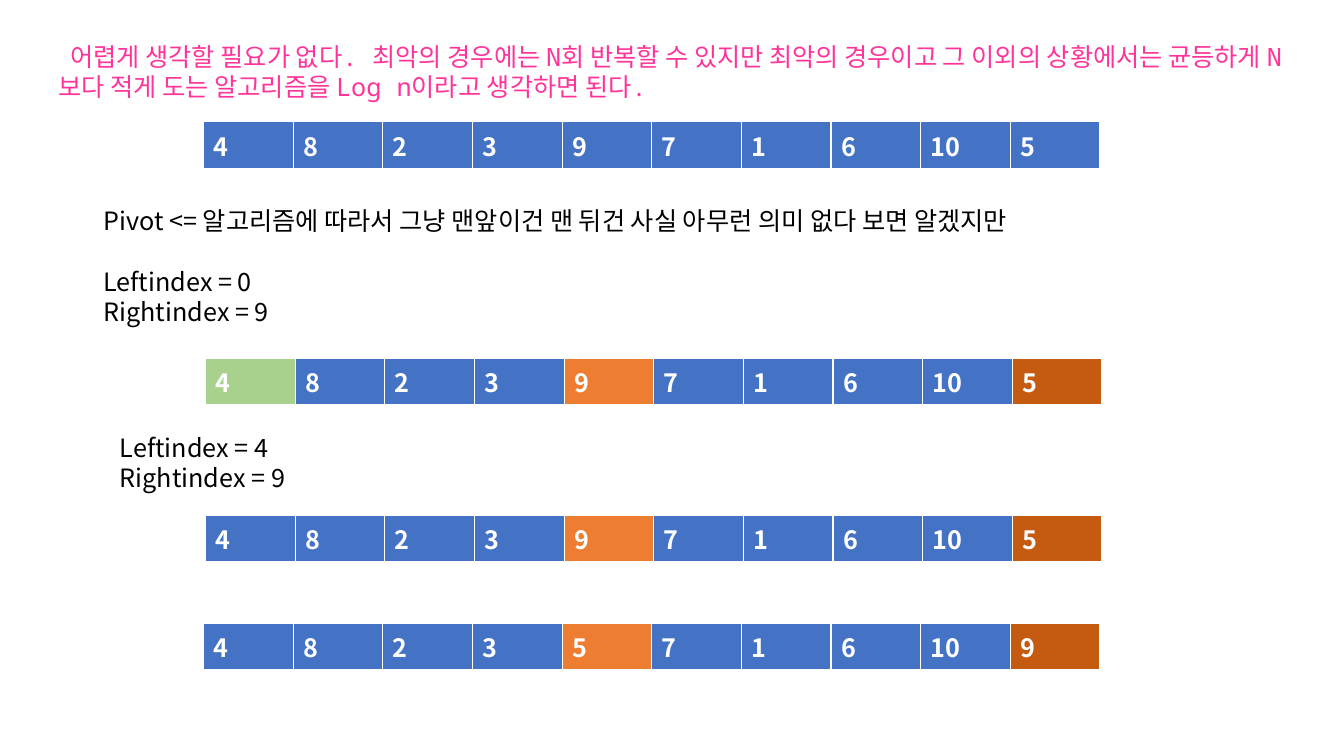
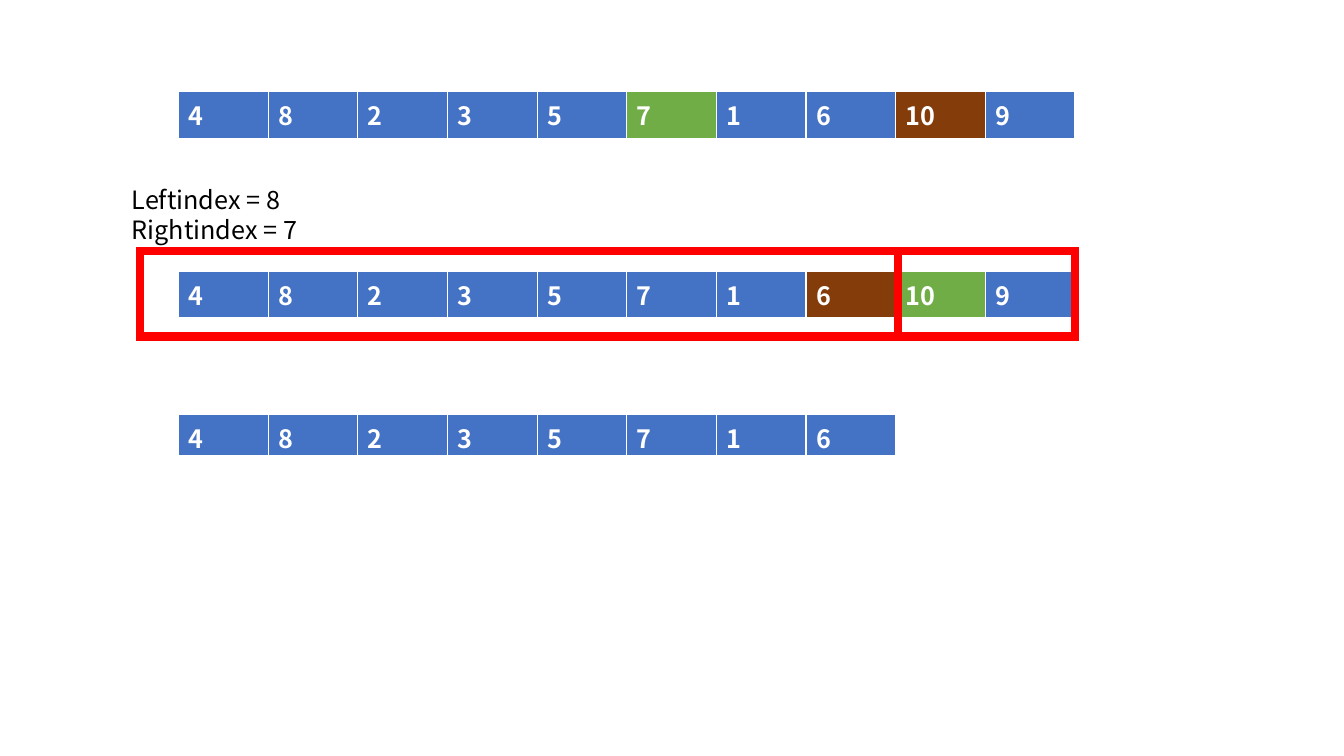
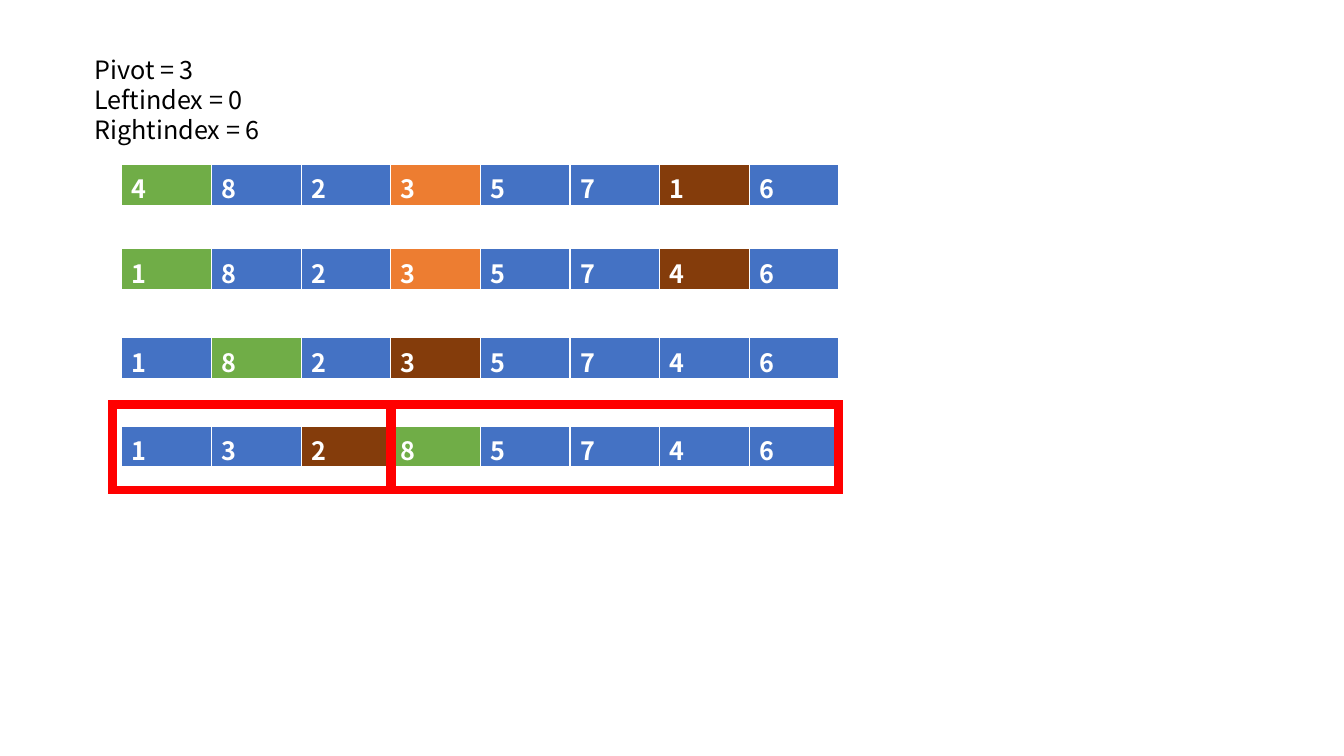
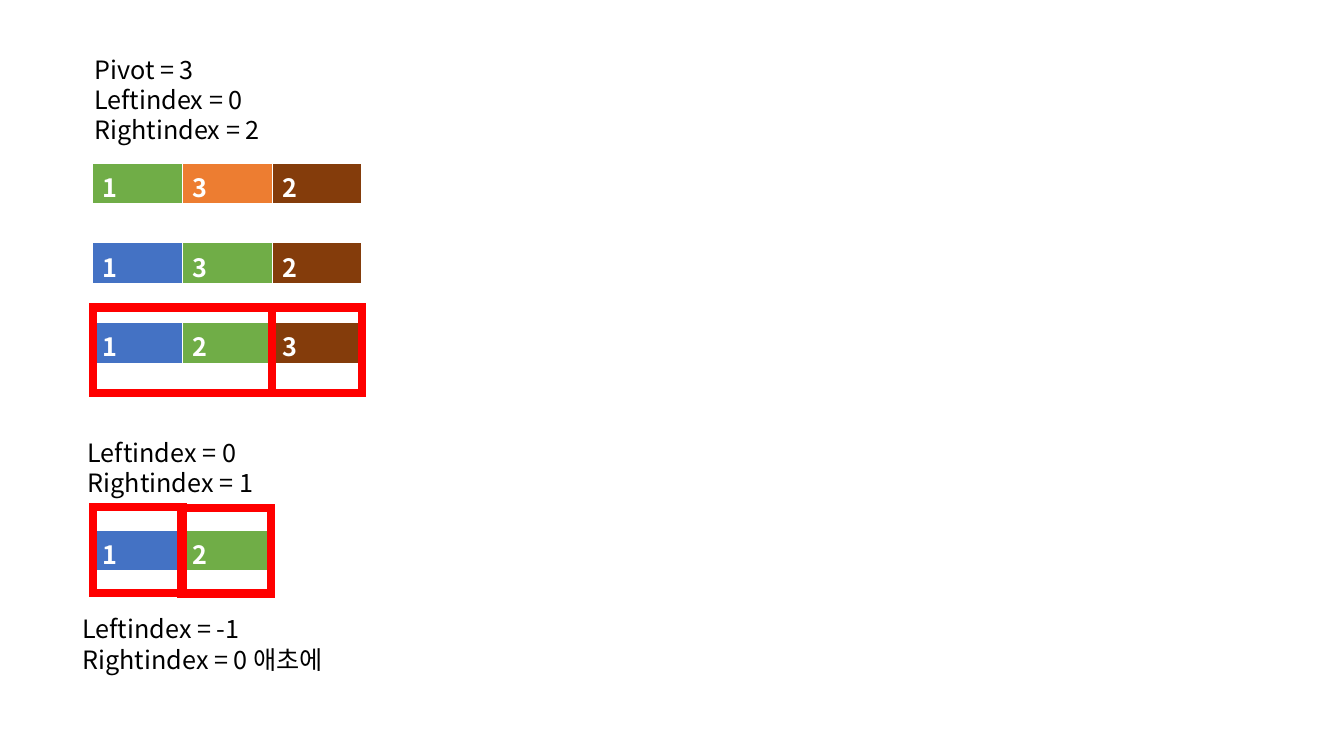
import dataclasses

import lxml.etree
import pptx
import pptx.dml.color
import pptx.enum.shapes
import pptx.enum.text
import pptx.oxml.ns
import pptx.slide
import pptx.text.text
import pptx.util

Cm = pptx.util.Cm


@dataclasses.dataclass(frozen=True)
class Theme:
    text_font: str = "Noto Sans CJK KR"
    mono_font: str = "Noto Sans Mono"
    text_size: int = 18
    line_gap: int = 22
    frame_width: int = 6
    black: str = "000000"
    white: str = "FFFFFF"
    pink: str = "FF3399"
    blue: str = "4472C4"
    orange: str = "ED7D31"
    rust: str = "C55A11"
    brown: str = "843C0B"
    green: str = "70AD47"
    pale_green: str = "A9D18E"
    red: str = "FF0000"


THEME = Theme()
CELL_WIDTH = 2.26
NOTE_WIDTH = 16.94
LINE_HEIGHT = 0.77
FRAME_HEIGHT = 2.16
ROW_HEIGHT = 1.03
TALL_ROW = 1.18


@dataclasses.dataclass(frozen=True)
class Strip:
    left: float
    top: float
    values: tuple[int, ...]
    marks: dict[int, str] = dataclasses.field(default_factory=dict)
    height: float = ROW_HEIGHT


@dataclasses.dataclass(frozen=True)
class Note:
    left: float
    top: float
    lines: tuple[str, ...]
    width: float = NOTE_WIDTH
    gap_before_line: int | None = None


@dataclasses.dataclass(frozen=True)
class Frame:
    left: float
    top: float
    width: float


@dataclasses.dataclass(frozen=True)
class Page:
    strips: tuple[Strip, ...]
    notes: tuple[Note, ...]
    frames: tuple[Frame, ...] = ()
    title: str | None = None


def rgb(value: str) -> pptx.dml.color.RGBColor:
    return pptx.dml.color.RGBColor.from_string(value)


def write_text(
    text_frame: pptx.text.text.TextFrame,
    text: str,
    *,
    color: str = THEME.black,
    font: str = THEME.text_font,
    bold: bool = False,
    indent: float = 0,
    gap_before_line: int | None = None,
) -> None:
    text_frame.word_wrap = True
    for index, line in enumerate(text.split("\n")):
        para = text_frame.paragraphs[0] if index == 0 else text_frame.add_paragraph()
        para.alignment = pptx.enum.text.PP_ALIGN.LEFT
        if indent:
            para._p.get_or_add_pPr().set("indent", str(Cm(indent)))
        if index == gap_before_line:
            para.space_before = pptx.util.Pt(THEME.line_gap)
        span = para.add_run()
        span.text = line
        span.font.name = font
        span.font.size = pptx.util.Pt(THEME.text_size)
        span.font.bold = bold
        span.font.color.rgb = rgb(color)
        east_asian = lxml.etree.SubElement(
            span._r.get_or_add_rPr(), pptx.oxml.ns.qn("a:ea")
        )
        east_asian.set("typeface", THEME.text_font)


def draw_title(page: pptx.slide.Slide, text: str) -> None:
    title = page.shapes.title
    title.left, title.top = Cm(1.22), Cm(0.91)
    title.width, title.height = Cm(31.39), Cm(1.8)
    title.text_frame.auto_size = pptx.enum.text.MSO_AUTO_SIZE.NONE
    title.text_frame.vertical_anchor = pptx.enum.text.MSO_ANCHOR.TOP
    write_text(
        title.text_frame, text, color=THEME.pink, font=THEME.mono_font, indent=0.3
    )


def draw_strip(page: pptx.slide.Slide, strip: Strip) -> None:
    count = len(strip.values)
    table = page.shapes.add_table(
        1, count, Cm(strip.left), Cm(strip.top), Cm(count * CELL_WIDTH), Cm(strip.height)
    ).table
    for index, value in enumerate(strip.values):
        table.columns[index].width = Cm(CELL_WIDTH)
        cell = table.cell(0, index)
        cell.fill.solid()
        cell.fill.fore_color.rgb = rgb(strip.marks.get(index, THEME.blue))
        write_text(cell.text_frame, str(value), color=THEME.white, bold=True)


def draw_note(page: pptx.slide.Slide, note: Note) -> None:
    height = len(note.lines) * LINE_HEIGHT + 0.26
    box = page.shapes.add_textbox(
        Cm(note.left), Cm(note.top), Cm(note.width), Cm(height)
    )
    write_text(
        box.text_frame, "\n".join(note.lines), gap_before_line=note.gap_before_line
    )


def draw_frame(page: pptx.slide.Slide, frame: Frame) -> None:
    box = page.shapes.add_shape(
        pptx.enum.shapes.MSO_SHAPE.RECTANGLE,
        Cm(frame.left), Cm(frame.top), Cm(frame.width), Cm(FRAME_HEIGHT),
    )
    box.shadow.inherit = False
    box.fill.background()
    box.line.color.rgb = rgb(THEME.red)
    box.line.width = pptx.util.Pt(THEME.frame_width)
    corner = lxml.etree.SubElement(
        box.line._get_or_add_ln(), pptx.oxml.ns.qn("a:miter")
    )
    corner.set("lim", "800000")


def draw_page(deck, content: Page) -> None:
    layout_name = "Title Only" if content.title else "Blank"
    page = deck.slides.add_slide(deck.slide_layouts.get_by_name(layout_name))
    if content.title:
        draw_title(page, content.title)
    for strip in content.strips:
        draw_strip(page, strip)
    for note in content.notes:
        draw_note(page, note)
    for frame in content.frames:
        draw_frame(page, frame)


START = (4, 8, 2, 3, 9, 7, 1, 6, 10, 5)
PIVOT_MOVED = (4, 8, 2, 3, 5, 7, 1, 6, 10, 9)
LEFT_PART = PIVOT_MOVED[:8]
PIVOT_AND_LAST = {4: THEME.orange, 9: THEME.rust}

PAGES = (
    Page(
        title=(
            "어렵게 생각할 필요가 없다. 최악의 경우에는 N회 반복할 수 있지만 "
            "최악의 경우이고 그 이외의 상황에서는 균등하게 N보다 적게 도는 "
            "알고리즘을 Log n이라고 생각하면 된다."
        ),
        strips=(
            Strip(5.13, 3.07, START),
            Strip(5.18, 9.02, START, {0: THEME.pale_green, **PIVOT_AND_LAST}),
            Strip(5.18, 12.98, START, PIVOT_AND_LAST),
            Strip(5.13, 15.7, PIVOT_MOVED, PIVOT_AND_LAST),
        ),
        notes=(
            Note(
                2.36, 5.05,
                (
                    "Pivot <= 알고리즘에 따라서 그냥 맨앞이건 맨 뒤건 사실 "
                    "아무런 의미 없다 보면 알겠지만",
                    "Leftindex = 0",
                    "Rightindex = 9",
                ),
                width=26.31,
                gap_before_line=1,
            ),
            Note(2.77, 10.77, ("Leftindex = 4", "Rightindex = 9")),
        ),
    ),
    Page(
        strips=(
            Strip(4.5, 2.31, PIVOT_MOVED, {5: THEME.green, 8: THEME.brown}, TALL_ROW),
            Strip(4.5, 6.83, PIVOT_MOVED, {7: THEME.brown, 8: THEME.green}, TALL_ROW),
            Strip(4.5, 10.44, LEFT_PART),
        ),
        notes=(Note(3.07, 4.52, ("Leftindex = 8", "Rightindex = 7")),),
        frames=(Frame(3.53, 6.32, 19.1), Frame(22.63, 6.32, 4.47)),
    ),
    Page(
        strips=(
            Strip(
                3.07, 4.14, LEFT_PART,
                {0: THEME.green, 3: THEME.orange, 6: THEME.brown},
            ),
            Strip(
                3.07, 6.27, (1, 8, 2, 3, 5, 7, 4, 6),
                {0: THEME.green, 3: THEME.orange, 6: THEME.brown},
            ),
            Strip(
                3.07, 8.51, (1, 8, 2, 3, 5, 7, 4, 6),
                {1: THEME.green, 3: THEME.brown},
            ),
            Strip(
                3.07, 10.74, (1, 3, 2, 8, 5, 7, 4, 6),
                {2: THEME.brown, 3: THEME.green},
            ),
        ),
        notes=(Note(2.13, 1.24, ("Pivot = 3", "Leftindex = 0", "Rightindex = 6")),),
        frames=(Frame(2.84, 10.19, 6.99), Frame(9.88, 10.19, 11.25)),
    ),
    Page(
        strips=(
            Strip(
                2.34, 4.11, (1, 3, 2),
                {0: THEME.green, 1: THEME.orange, 2: THEME.brown},
            ),
            Strip(2.34, 6.12, (1, 3, 2), {1: THEME.green, 2: THEME.brown}),
            Strip(2.34, 8.13, (1, 2, 3), {1: THEME.green, 2: THEME.brown}),
            Strip(2.34, 13.36, (1, 2), {1: THEME.green}),
        ),
        notes=(
            Note(2.13, 1.24, ("Pivot = 3", "Leftindex = 0", "Rightindex = 2")),
            Note(1.96, 10.9, ("Leftindex = 0", "Rightindex = 1")),
            Note(1.83, 15.34, ("Leftindex = -1", "Rightindex = 0 애초에")),
        ),
        frames=(
            Frame(2.34, 7.75, 2 * CELL_WIDTH),
            Frame(6.86, 7.75, CELL_WIDTH),
            Frame(2.34, 12.78, CELL_WIDTH),
            Frame(4.57, 12.8, CELL_WIDTH),
        ),
    ),
)


def main() -> None:
    deck = pptx.Presentation()
    deck.slide_width, deck.slide_height = Cm(33.87), Cm(19.05)
    for content in PAGES:
        draw_page(deck, content)
    deck.save("out.pptx")


main()
